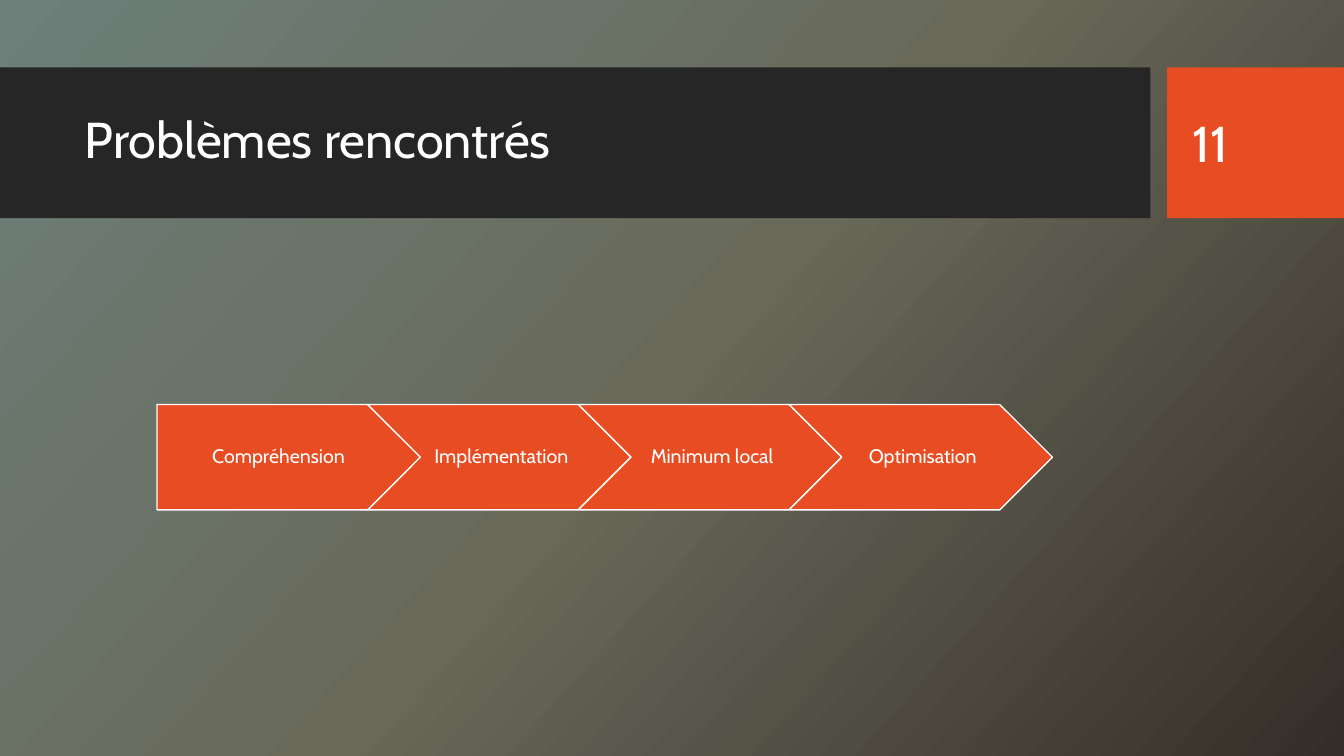
from copy import deepcopy
from dataclasses import dataclass

from pptx import Presentation
from pptx.dml.color import RGBColor
from pptx.enum.shapes import MSO_SHAPE
from pptx.enum.text import MSO_ANCHOR, PP_ALIGN
from pptx.oxml.ns import qn
from pptx.shapes.autoshape import Shape
from pptx.slide import Slide
from pptx.util import Pt

RECT = MSO_SHAPE.RECTANGLE
PLATE = MSO_SHAPE.PENTAGON
CHEVRON = MSO_SHAPE.CHEVRON
MIDDLE = MSO_ANCHOR.MIDDLE
LEFT = PP_ALIGN.LEFT
CENTER = PP_ALIGN.CENTER

WHITE = RGBColor(0xFF, 0xFF, 0xFF)
DARK = RGBColor(0x26, 0x26, 0x26)
ORANGE = RGBColor(0xE8, 0x4C, 0x22)
STOPS = [
    (0.0, RGBColor(0x6D, 0x80, 0x7A)),
    (0.5, RGBColor(0x69, 0x69, 0x5A)),
    (1.0, RGBColor(0x35, 0x2E, 0x28)),
]
FONT = "Cabin"


@dataclass(frozen=True)
class Box:
    left: float
    top: float
    width: float
    height: float

    def place(self) -> tuple[Pt, Pt, Pt, Pt]:
        return Pt(self.left), Pt(self.top), Pt(self.width), Pt(self.height)


@dataclass(frozen=True)
class Label:
    text: str
    box: Box
    spacing: float


@dataclass(frozen=True)
class Step:
    text: str
    kind: MSO_SHAPE
    inset: float


BANDS = [
    (Box(0, 48.2, 821.8, 107.6), DARK),
    (Box(833.6, 48.2, 126.4, 107.6), ORANGE),
]
LABELS = [
    Label("Problèmes rencontrés", Box(53.5, 58.8, 756.7, 85.2), 0.9),
    Label("11", Box(844.6, 58.8, 90.7, 85.9), 1.0),
]
STEPS = [
    Step("Compréhension", PLATE, 5.88),
    Step("Implémentation", CHEVRON, 4.41),
    Step("Minimum local", CHEVRON, 4.41),
    Step("Optimisation", CHEVRON, 4.41),
]
FIRST = Box(112.2, 288.9, 188.1, 75.25)
PITCH = 0.8 * FIRST.width


def paint_back(slide: Slide) -> None:
    """Fill the background with the three-stop gradient."""
    fill = slide.background.fill
    fill.gradient()
    fill.gradient_angle = 360 - 42
    stops = slide.element.find(".//" + qn("a:gsLst"))
    stops.insert(1, deepcopy(stops[0]))
    for stop, (place, color) in zip(fill.gradient_stops, STOPS):
        stop.position = place
        stop.color.rgb = color


def add_block(slide: Slide, kind: MSO_SHAPE, box: Box, color: RGBColor) -> Shape:
    """Add a flat filled shape without an outline."""
    block = slide.shapes.add_shape(kind, *box.place())
    block.shadow.inherit = False
    block.fill.solid()
    block.fill.fore_color.rgb = color
    block.line.fill.background()
    return block


def set_text(shape: Shape, text: str, size: float, align: PP_ALIGN, spacing: float) -> None:
    frame = shape.text_frame
    frame.word_wrap = True
    frame.vertical_anchor = MIDDLE
    para = frame.paragraphs[0]
    para.text = text
    para.alignment = align
    para.line_spacing = spacing
    para.font.name = FONT
    para.font.size = Pt(size)
    para.font.color.rgb = WHITE


def add_label(slide: Slide, label: Label) -> None:
    shape = slide.shapes.add_textbox(*label.box.place())
    set_text(shape, label.text, 36, LEFT, label.spacing)


def add_step(slide: Slide, step: Step, index: int) -> None:
    box = Box(FIRST.left + index * PITCH, FIRST.top, FIRST.width, FIRST.height)
    arrow = add_block(slide, step.kind, box, ORANGE)
    arrow.line.color.rgb = WHITE
    arrow.line.width = Pt(1)
    set_text(arrow, step.text, 14, CENTER, 0.9)
    frame = arrow.text_frame
    frame.margin_left = Pt(step.inset)
    frame.margin_right = Pt(1.47)
    frame.margin_top = frame.margin_bottom = Pt(2.94)


def main() -> None:
    deck = Presentation()
    deck.slide_width, deck.slide_height = Pt(960), Pt(540)
    slide = deck.slides.add_slide(deck.slide_layouts[6])
    paint_back(slide)
    for box, color in BANDS:
        add_block(slide, RECT, box, color)
    for label in LABELS:
        add_label(slide, label)
    for index, step in enumerate(STEPS):
        add_step(slide, step, index)
    deck.save("out.pptx")


if __name__ == "__main__":
    main()
